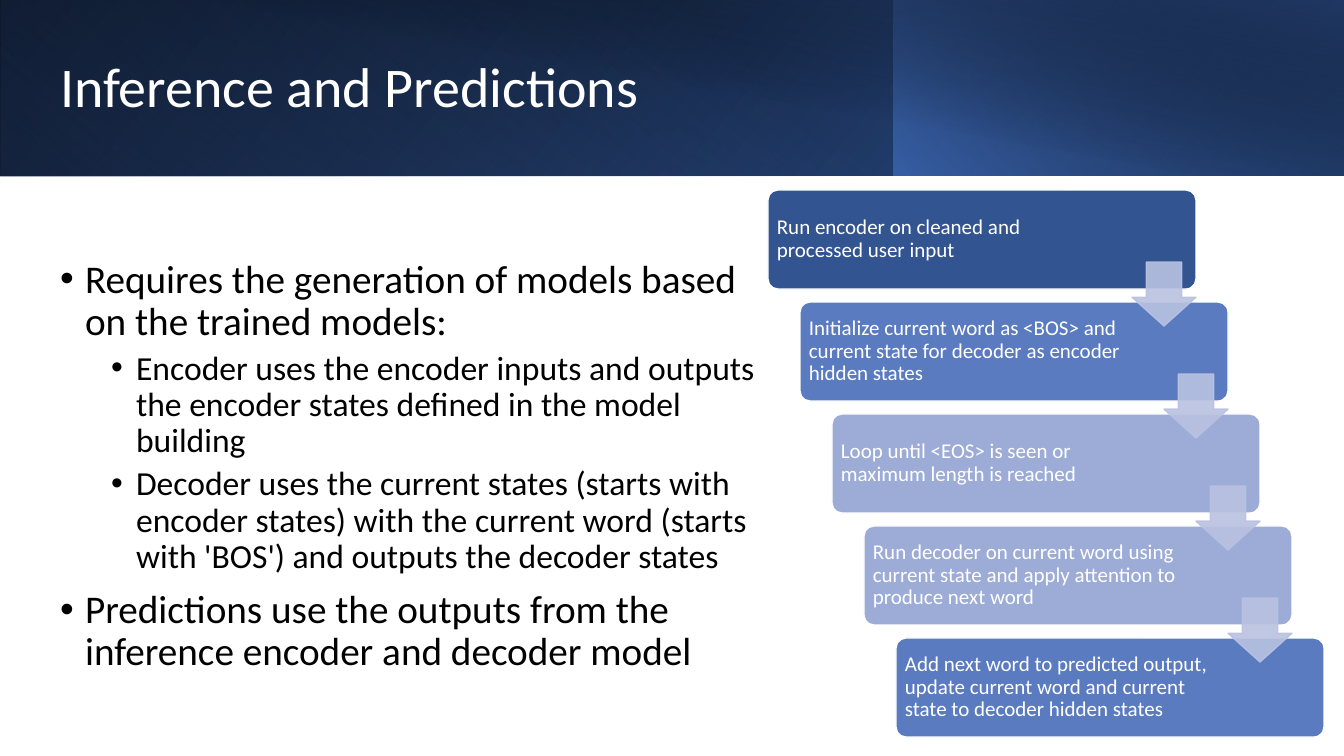
from lxml.etree import SubElement
from pptx import Presentation
from pptx.dml.color import RGBColor
from pptx.enum.shapes import MSO_SHAPE
from pptx.enum.text import MSO_ANCHOR, MSO_AUTO_SIZE, PP_ALIGN
from pptx.oxml.ns import qn
from pptx.util import Emu, Pt

FONT = "Calibri"
TITLE = "Inference and Predictions"
TITLE_BOX = (50, 32, 1091, 114)
BODY_BOX = (50, 209, 727, 516)
BULLETS = [
    (0, "Requires the generation of models based on the trained models:"),
    (1, "Encoder uses the encoder inputs and outputs the encoder states "
        "defined in the model building"),
    (1, "Decoder uses the current states (starts with encoder states) with the "
        "current word (starts with 'BOS') and outputs the decoder states"),
    (0, "Predictions use the outputs from the inference encoder and decoder model"),
]
# level: (text size, space before, left indent in pixels)
LEVELS = {0: (28, 10, 25), 1: (24, 5, 76)}
HANGING = 25
# box, rotation, flipped, gradient angle, stops as (position, colour, opacity %)
BANDS = [
    ((0, 0, 1344, 176), 0, True, 140, [(0, "000000", 100), (1, "2F5597", 100)]),
    ((0, 0, 895, 176), 180, True, 230, [(0.2, "4472C4", 0), (1, "203864", 55)]),
    ((894, 0, 450, 176), 0, True, 220, [(0, "4472C4", 66), (1, "000000", 30)]),
    ((50, 0, 1294, 176), 0, False, 280, [(0.5, "000000", 0), (0.99, "203864", 52)]),
]
STEPS = [
    ("Run encoder on cleaned and processed user input", "325491"),
    ("Initialize current word as <BOS> and current state for decoder as encoder "
     "hidden states", "5B7BC0"),
    ("Loop until <EOS> is seen or maximum length is reached", "9DACD6"),
    ("Run decoder on current word using current state and apply attention to "
     "produce next word", "9DACD6"),
    ("Add next word to predicted output, update current word and current state "
     "to decoder hidden states", "5B7BC0"),
]
FIRST_CARD = (768, 190, 428, 99)
FIRST_ARROW = (1132, 262, 64, 64)
STEP_RIGHT, STEP_DOWN = 32, 112
ARROW_COLOR, ARROW_OPACITY = "B9C2E1", 90


def px(pixels):
    """Turn slide pixels into EMU."""
    return Emu(round(pixels * 914400 / 100.8))


def rgb(hex_color):
    """Turn a hex string into a colour."""
    return RGBColor.from_string(hex_color)


def set_opacity(color_parent, percent):
    """Give the colour inside an XML element an opacity."""
    color = color_parent.find(".//" + qn("a:srgbClr"))
    SubElement(color, qn("a:alpha"), val=str(percent * 1000))


def place(shape, box):
    """Move and size a placeholder."""
    shape.left, shape.top, shape.width, shape.height = map(px, box)


def step_box(first, index):
    """Return the box of one step down the staircase."""
    left, top, width, height = first
    return left + index * STEP_RIGHT, top + index * STEP_DOWN, width, height


def add_preset(slide, kind, box):
    """Add a preset shape without shadow."""
    shape = slide.shapes.add_shape(kind, *map(px, box))
    shape.shadow.inherit = False
    return shape


def paint(shape, fill, line):
    """Set a solid fill and a one-point outline."""
    shape.fill.solid()
    shape.fill.fore_color.rgb = rgb(fill)
    shape.line.color.rgb = rgb(line)
    shape.line.width = Pt(1)


def style(paragraph, size, color):
    """Format a left-aligned paragraph and its runs."""
    paragraph.alignment = PP_ALIGN.LEFT
    paragraph.line_spacing = 0.9
    for run in paragraph.runs:
        run.font.name = FONT
        run.font.size = Pt(size)
        run.font.color.rgb = rgb(color)


def add_band(slide, box, rotation, flipped, angle, stops):
    """Add a gradient band behind the title."""
    band = add_preset(slide, MSO_SHAPE.RECTANGLE, box)
    band.rotation = rotation
    if flipped:
        band._element.spPr.find(qn("a:xfrm")).set("flipH", "1")
    band.line.fill.background()
    band.fill.gradient()
    band.fill.gradient_angle = 360 - angle
    for stop, (position, color, opacity) in zip(band.fill.gradient_stops, stops):
        stop.position = position
        stop.color.rgb = rgb(color)
    gradient = band._element.spPr.find(qn("a:gradFill"))
    for stop_xml, (position, color, opacity) in zip(gradient.iter(qn("a:gs")), stops):
        set_opacity(stop_xml, opacity)
    slide.shapes.title._element.addprevious(band._element)


def fill_title(title):
    """Write the title."""
    place(title, TITLE_BOX)
    title.text_frame.text = TITLE
    title.text_frame.vertical_anchor = MSO_ANCHOR.MIDDLE
    title.text_frame.auto_size = MSO_AUTO_SIZE.NONE
    style(title.text_frame.paragraphs[0], 40, "FFFFFF")


def fill_body(body):
    """Write the bulleted list."""
    place(body, BODY_BOX)
    frame = body.text_frame
    frame.vertical_anchor = MSO_ANCHOR.MIDDLE
    frame.auto_size = MSO_AUTO_SIZE.NONE
    frame.text = "\n".join(text for level, text in BULLETS)
    for paragraph, (level, text) in zip(frame.paragraphs, BULLETS):
        size, before, indent = LEVELS[level]
        paragraph.level = level
        style(paragraph, size, "000000")
        paragraph.space_before = Pt(before)
        properties = paragraph._p.get_or_add_pPr()
        properties.set("marL", str(px(indent)))
        properties.set("indent", str(-px(HANGING)))
        SubElement(properties, qn("a:buFont"), typeface="Arial")
        SubElement(properties, qn("a:buChar"), char="•")


def add_card(slide, index, text, color):
    """Add one step of the process."""
    card = add_preset(slide, MSO_SHAPE.ROUNDED_RECTANGLE, step_box(FIRST_CARD, index))
    card.adjustments[0] = 0.1
    paint(card, color, "FFFFFF")
    frame = card.text_frame
    frame.word_wrap = True
    frame.vertical_anchor = MSO_ANCHOR.MIDDLE
    frame.margin_left = frame.margin_top = frame.margin_bottom = px(6)
    frame.margin_right = px(102)
    frame.text = text
    style(frame.paragraphs[0], 15, "FFFFFF")


def add_arrow(slide, index):
    """Add the translucent arrow to the next step."""
    arrow = add_preset(slide, MSO_SHAPE.DOWN_ARROW, step_box(FIRST_ARROW, index))
    arrow.adjustments[0] = 0.55
    arrow.adjustments[1] = 0.45
    paint(arrow, ARROW_COLOR, ARROW_COLOR)
    for part in ("a:solidFill", "a:ln"):
        set_opacity(arrow._element.spPr.find(qn(part)), ARROW_OPACITY)


def main():
    """Build and save the slide."""
    deck = Presentation()
    deck.slide_width, deck.slide_height = px(1344), px(756)
    slide = deck.slides.add_slide(deck.slide_layouts[1])
    fill_title(slide.shapes.title)
    fill_body(slide.placeholders[1])
    for band in BANDS:
        add_band(slide, *band)
    for index, (text, color) in enumerate(STEPS):
        add_card(slide, index, text, color)
    for index in range(len(STEPS) - 1):
        add_arrow(slide, index)
    deck.save("out.pptx")


main()
